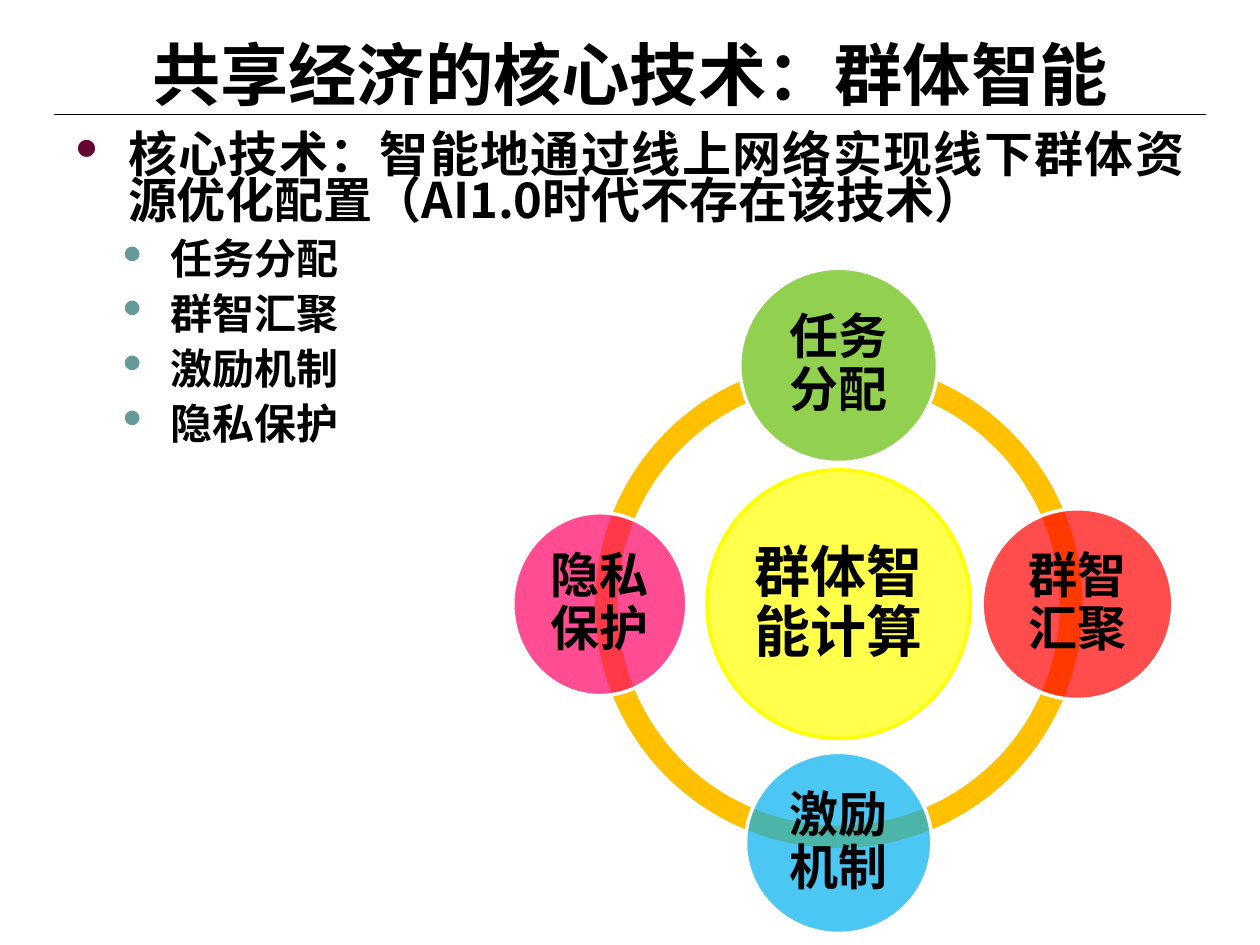
"""Build a slide on collective intelligence in the sharing economy."""
from math import cos, radians, sin

from lxml import etree
from pptx import Presentation
from pptx import util as u
from pptx.dml import color
from pptx.enum import shapes, text
from pptx.oxml import ns

Pt = u.Pt
FONT = "Noto Sans CJK SC"
COLORS = {
    "ink": "000000", "white": "FFFFFF", "ring": "FFC000", "core": "FFFF00",
    "green": "92D050", "red": "FF0000", "blue": "00B0F0", "pink": "FF0066",
    "bullet": "660033", "sub_bullet": "669999",
}
TASKS = ["任务分配", "群智汇聚", "激励机制", "隐私保护"]
NODE_STYLES = [
    ("green", 113, 111, 100), ("red", 109, 109, 70),
    ("blue", 106.5, 103.5, 70), ("pink", 99.5, 104.5, 70),
]


def rgb(name):
    """Return the named colour."""
    return color.RGBColor.from_string(COLORS[name])


def add_child(parent, tag, **attributes):
    """Append a drawing element to its parent and return it."""
    return etree.SubElement(parent, ns.qn(tag), attributes)


def add_text(para, words, size):
    """Add one bold run in the slide's font."""
    span = para.add_run()
    span.text = words
    span.font.size = Pt(size)
    span.font.bold = True
    span.font.name = FONT
    span.font.color.rgb = rgb("ink")
    add_child(span.font._element, "a:ea", typeface=FONT)


def set_frame(frame, anchor, sides, top, bottom):
    """Set wrapping, anchor and insets of a text frame."""
    frame.word_wrap = True
    frame.auto_size = text.MSO_AUTO_SIZE.NONE
    frame.vertical_anchor = anchor
    frame.margin_left = frame.margin_right = Pt(sides)
    frame.margin_top, frame.margin_bottom = Pt(top), Pt(bottom)


def place(shape, left, top, width, height):
    """Move and size a shape."""
    shape.left, shape.top = Pt(left), Pt(top)
    shape.width, shape.height = Pt(width), Pt(height)


def add_title(page, left, top, width, height):
    """Fill the title and draw the rule below it."""
    title = page.shapes.title
    place(title, left, top, width, height)
    set_frame(title.text_frame, text.MSO_ANCHOR.BOTTOM, 7.2, 0, 0)
    para = title.text_frame.paragraphs[0]
    para.alignment = text.PP_ALIGN.CENTER
    add_text(para, "共享经济的核心技术：群体智能", 39)
    bottom = Pt(top + height)
    rule = page.shapes.add_connector(
        shapes.MSO_CONNECTOR.STRAIGHT, Pt(left - 5), bottom, Pt(left + width + 5), bottom)
    rule.line.color.rgb = rgb("ink")
    rule.line.width = Pt(0.75)
    add_child(rule._element.spPr, "a:effectLst")


def add_bullet(para, indent, hanging, color_name):
    """Give a paragraph a small coloured dot and a hanging indent."""
    props = para._p.get_or_add_pPr()
    props.set("marL", str(Pt(indent)))
    props.set("indent", str(-Pt(hanging)))
    add_child(add_child(props, "a:buClr"), "a:srgbClr", val=COLORS[color_name])
    add_child(props, "a:buSzPct", val="60000")
    add_child(props, "a:buFont", typeface="Wingdings", charset="2")
    add_child(props, "a:buChar", char="l")


def add_list(page, left, top, width, height):
    """Fill the body with the core technology and its tasks."""
    body = page.placeholders[1]
    place(body, left, top, width, height)
    frame = body.text_frame
    set_frame(frame, text.MSO_ANCHOR.TOP, 7.2, 6, 3.6)
    lead = "核心技术：智能地通过线上网络实现线下群体资源优化配置（AI1.0时代不存在该技术）"
    for index, words in enumerate([lead] + TASKS):
        para = frame.add_paragraph() if index else frame.paragraphs[0]
        para.level = 1 if index else 0
        para.alignment = text.PP_ALIGN.JUSTIFY
        para.line_spacing = 0.78
        para.space_before = Pt(6.4 if index else 0)
        para.space_after = Pt(2.5)
        if index:
            add_bullet(para, 54.5, 27.5, "sub_bullet")
        else:
            add_bullet(para, 30, 30, "bullet")
        add_text(para, words, 24 if index else 28)


def add_circle(group, center, size, words, font_size, fill, line, opacity):
    """Add a labelled ellipse around a centre point."""
    (x, y), (width, height) = center, size
    circle = group.shapes.add_shape(
        shapes.MSO_SHAPE.OVAL, Pt(x - width / 2), Pt(y - height / 2), Pt(width), Pt(height))
    circle.shadow.inherit = False
    circle.fill.solid()
    circle.fill.fore_color.rgb = rgb(fill)
    if opacity < 100:
        tint = circle._element.spPr.find(".//" + ns.qn("a:srgbClr"))
        add_child(tint, "a:alpha", val=str(opacity * 1000))
    circle.line.color.rgb = rgb(line)
    circle.line.width = Pt(2)
    set_frame(circle.text_frame, text.MSO_ANCHOR.MIDDLE, 3, 3, 3)
    para = circle.text_frame.paragraphs[0]
    para.alignment = text.PP_ALIGN.CENTER
    para.line_spacing = 0.9
    add_text(para, words, font_size)


def add_cycle(page, left, top, diameter):
    """Draw the ring, its core and the four task circles."""
    group = page.shapes.add_group_shape()
    for start in (180, 90, 0, 270):
        arc = group.shapes.add_shape(
            shapes.MSO_SHAPE.BLOCK_ARC, Pt(left), Pt(top), Pt(diameter), Pt(diameter))
        arc.shadow.inherit = False
        arc.fill.solid()
        arc.fill.fore_color.rgb = rgb("ring")
        arc.line.fill.background()
        arc.adjustments[0] = start * 0.6
        arc.adjustments[1] = (start + 90) % 360 * 0.6
        arc.adjustments[2] = 0.046
    x, y = left + diameter / 2, top + diameter / 2
    add_circle(group, (x, y), (150.5, 153.5), "群体智能计算", 32, "core", "core", 70)
    orbit = diameter * 0.49
    for index, (words, style) in enumerate(zip(TASKS, NODE_STYLES)):
        fill, width, height, opacity = style
        angle = radians(90 * index - 90)
        center = (x + orbit * cos(angle), y + orbit * sin(angle))
        add_circle(group, center, (width, height), words, 28, fill, "white", opacity)


def main():
    """Build and save the deck."""
    deck = Presentation()
    deck.slide_width, deck.slide_height = Pt(720), Pt(540)
    page = deck.slides.add_slide(deck.slide_layouts[1])
    add_title(page, 36, 9.5, 648, 56)
    add_list(page, 36, 71.5, 648, 147.5)
    add_cycle(page, 340, 206, 278.5)
    deck.save("out.pptx")


if __name__ == "__main__":
    main()
